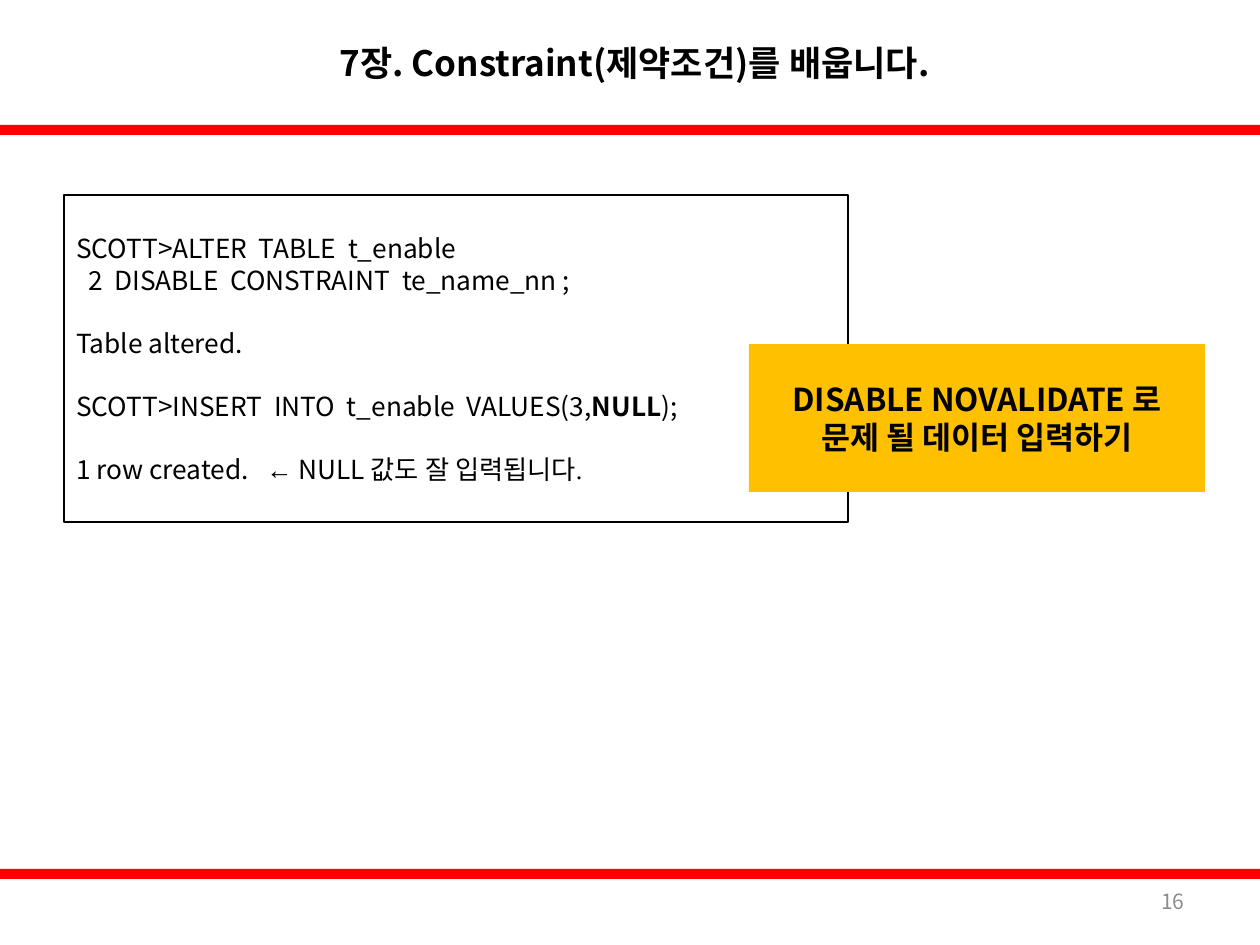
from dataclasses import dataclass

from pptx import Presentation
from pptx.dml.color import RGBColor
from pptx.enum.shapes import MSO_SHAPE
from pptx.enum.text import MSO_ANCHOR, PP_ALIGN
from pptx.oxml.ns import qn
from pptx.util import Emu, Pt

PX_PER_INCH = 126
SLIDE_W, SLIDE_H = 1260, 945


@dataclass(frozen=True)
class Theme:
    font: str = "Noto Sans CJK KR"
    symbol_font: str = "Times New Roman"
    ink: str = "000000"
    muted: str = "8C8C8C"
    paper: str = "FFFFFF"
    band: str = "FF0000"
    accent: str = "FFC000"
    title_size: int = 20
    callout_size: int = 18
    code_size: int = 15
    number_size: int = 12
    code_gap: int = 18


THEME = Theme()


def px(length):
    return Emu(round(length * 914400 / PX_PER_INCH))


def rgb(color):
    return RGBColor.from_string(color)


def style_run(run, size, color=THEME.ink, bold=False, font=THEME.font):
    run.font.size = Pt(size)
    run.font.bold = bold
    run.font.color.rgb = rgb(color)
    run.font.name = font
    # East Asian glyphs take their own typeface entry
    latin = run.font._element.find(qn("a:latin"))
    east_asian = latin.makeelement(qn("a:ea"), {"typeface": font})
    latin.addnext(east_asian)


def style_frame(frame, align, size, color=THEME.ink, bold=False):
    frame.word_wrap = True
    frame.vertical_anchor = MSO_ANCHOR.MIDDLE
    for paragraph in frame.paragraphs:
        paragraph.alignment = align
        for run in paragraph.runs:
            style_run(run, size, color, bold)


def add_panel(slide, box, fill, line=None):
    panel = slide.shapes.add_shape(MSO_SHAPE.RECTANGLE, *map(px, box))
    panel.shadow.inherit = False
    panel.fill.solid()
    panel.fill.fore_color.rgb = rgb(fill)
    if line:
        panel.line.color.rgb = rgb(line)
        panel.line.width = Pt(0.75)
    else:
        panel.line.fill.background()
    return panel


def place_title(slide, box, wording):
    title = slide.shapes.title
    title.left, title.top, title.width, title.height = map(px, box)
    title.text_frame.text = wording
    style_frame(title.text_frame, PP_ALIGN.CENTER, THEME.title_size, bold=True)


def add_page_number(slide, box, number):
    frame = slide.shapes.add_textbox(*map(px, box)).text_frame
    frame.text = number
    style_frame(frame, PP_ALIGN.RIGHT, THEME.number_size, THEME.muted)


def add_code_listing(slide, box, blocks):
    """Each block is a list of lines; each line is a list of (text, style) pieces."""
    frame = add_panel(slide, box, THEME.paper, THEME.ink).text_frame
    frame.word_wrap = True
    frame.vertical_anchor = MSO_ANCHOR.MIDDLE
    lines = [(line, b > 0 and i == 0)
             for b, block in enumerate(blocks) for i, line in enumerate(block)]
    for index, (line, starts_block) in enumerate(lines):
        paragraph = frame.add_paragraph() if index else frame.paragraphs[0]
        paragraph.alignment = PP_ALIGN.LEFT
        if starts_block:
            paragraph.space_before = Pt(THEME.code_gap)
        for text, style in line:
            run = paragraph.add_run()
            run.text = text
            style_run(run, THEME.code_size, **style)


def add_callout(slide, box, wording):
    frame = add_panel(slide, box, THEME.accent).text_frame
    frame.text = wording
    style_frame(frame, PP_ALIGN.CENTER, THEME.callout_size, bold=True)


def main():
    deck = Presentation()
    deck.slide_width, deck.slide_height = px(SLIDE_W), px(SLIDE_H)
    slide = deck.slides.add_slide(deck.slide_layouts[5])

    # Header and footer
    for band_top in (125, 869):
        add_panel(slide, (0, band_top, SLIDE_W, 10), THEME.band)
    place_title(slide, (213, 0, 843, 125), "7장. Constraint(제약조건)를 배웁니다.")
    add_page_number(slide, (903, 876, 294, 50), "16")

    # SQL session
    plain, strong, symbol = {}, {"bold": True}, {"font": THEME.symbol_font}
    session = [
        [[("SCOTT>ALTER  TABLE  t_enable", plain)],
         [("  2  DISABLE  CONSTRAINT  te_name_nn ;", plain)]],
        [[("Table altered.", plain)]],
        [[("SCOTT>INSERT  INTO  t_enable  VALUES(3,", plain),
          ("NULL", strong), (");", plain)]],
        [[("1 row created.   ", plain), ("←", symbol),
          (" NULL 값도 잘 입력됩니다", plain), (".", symbol)]],
    ]
    add_code_listing(slide, (64, 195, 784, 327), session)

    # Explanation over the listing's right edge
    add_callout(slide, (749, 344, 456, 148),
                "DISABLE NOVALIDATE 로\n문제 될 데이터 입력하기")

    deck.save("out.pptx")


if __name__ == "__main__":
    main()
